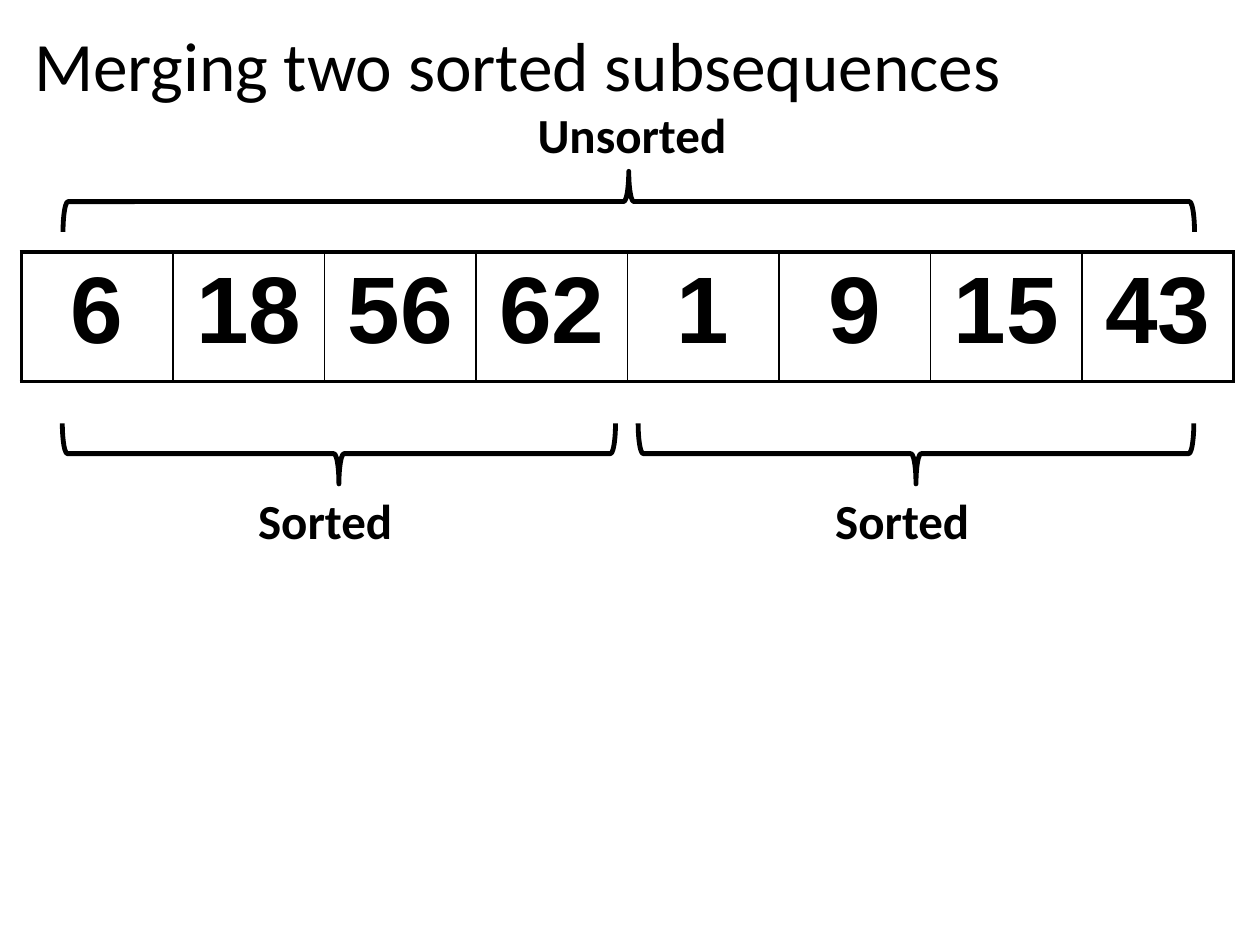
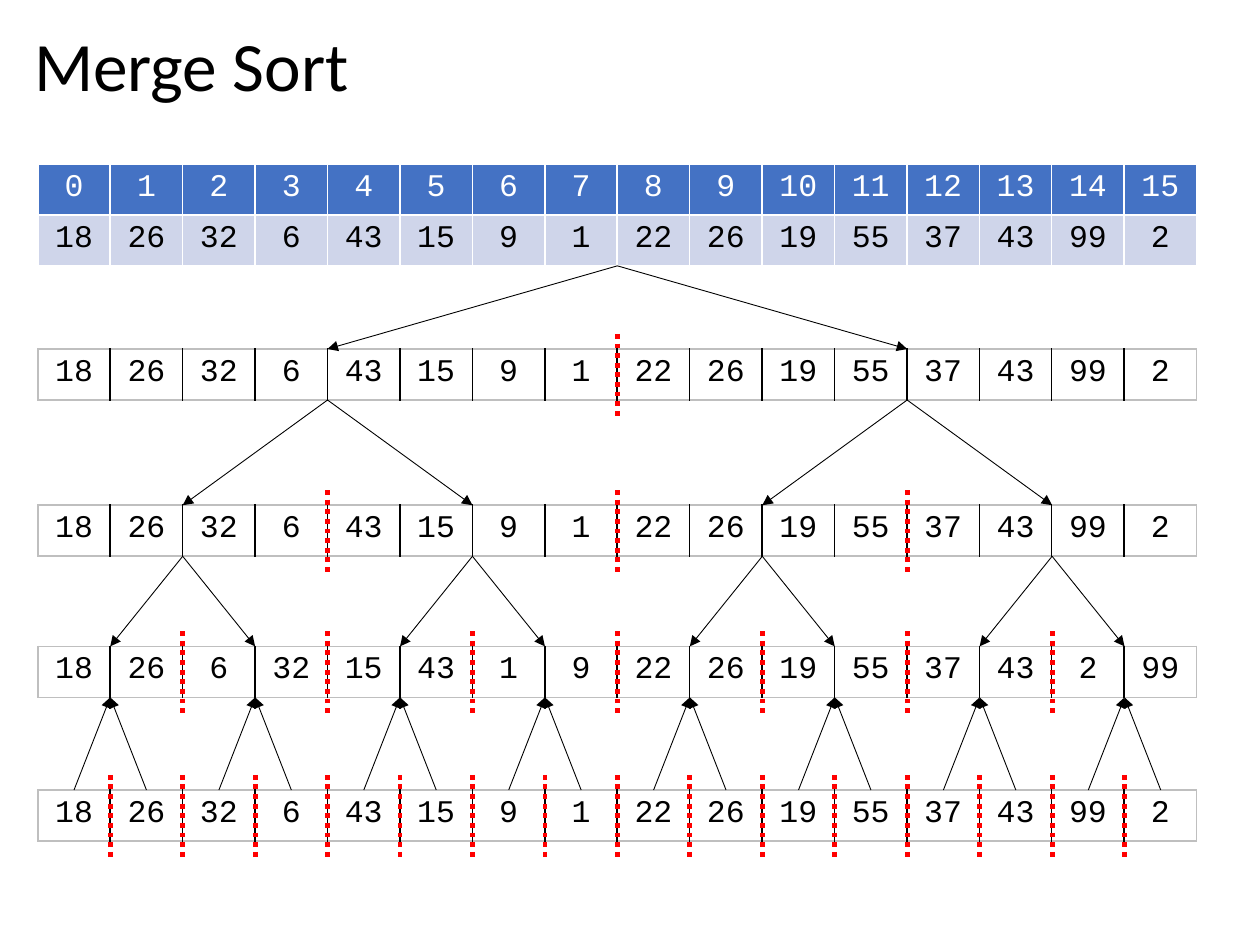
from dataclasses import dataclass

from lxml.etree import SubElement
from pptx import Presentation
from pptx.dml.color import RGBColor
from pptx.enum.dml import MSO_LINE
from pptx.enum.shapes import MSO_CONNECTOR, MSO_SHAPE
from pptx.enum.text import MSO_ANCHOR, MSO_AUTO_SIZE, PP_ALIGN
from pptx.oxml.ns import qn
from pptx.util import Inches, Pt

# Content of the merging slide
MERGE_TITLE = "Merging two sorted subsequences"
MERGE_VALUES = [6, 18, 56, 62, 1, 9, 15, 43]
# Brace: centre x, centre y, span, rotation; label: text, left, top, width, alignment
BRACES = [
    ((2.69, 3.6, 4.39, 270), ("Sorted", 1.95, 3.84, 1.48, PP_ALIGN.LEFT)),
    ((7.27, 3.6, 4.41, 270), ("Sorted", 6.53, 3.84, 1.48, PP_ALIGN.LEFT)),
    ((4.99, 1.6, 8.98, 90), ("Unsorted", 4.04, 0.78, 1.95, PP_ALIGN.CENTER)),
]

# Content of the merge sort slide
SORT_TITLE = "Merge Sort"
VALUES = [18, 26, 32, 6, 43, 15, 9, 1, 22, 26, 19, 55, 37, 43, 99, 2]
SORTED_PAIRS = [value for start in range(0, len(VALUES), 2)
                for value in sorted(VALUES[start:start + 2])]
# Level: top, segment size, values, arrowhead element
LEVELS = [
    (2.77, 8, VALUES, "a:tailEnd"),
    (4.01, 4, VALUES, "a:tailEnd"),
    (5.13, 2, SORTED_PAIRS, "a:tailEnd"),
    (6.27, 1, VALUES, "a:headEnd"),
]


@dataclass(frozen=True)
class Theme:
    black: str = "000000"
    white: str = "FFFFFF"
    grey: str = "BFBFBF"
    red: str = "FF0000"
    header: str = "4472C4"
    band: str = "CFD5EA"
    title_size: float = 39.6
    label_size: int = 28
    number_size: int = 54
    cell_size: int = 18
    heading_font: str = "Calibri"
    number_font: str = "Arial"
    cell_font: str = "Courier New"


THEME = Theme()

# Geometry in inches
TITLE_BOX = (0.17, 0.18, 9.62, 0.74)
MERGE_TABLE_BOX = (0.17, 2, 9.62, 1.03)
BRACE_DEPTH = 0.48
LABEL_HEIGHT = 0.57
ARRAY_LEFT, ARRAY_WIDTH, ARRAY_TOP = 0.3, 9.2, 1.3
ROW_HEIGHT = 0.405
CELL_WIDTH = ARRAY_WIDTH / len(VALUES)
DIVIDER_ABOVE, DIVIDER_BELOW = 0.12, 0.55


def inches(*lengths):
    return [Inches(length) for length in lengths]


def write_text(text_frame, text, alignment, **font_values):
    """Write one paragraph and apply its font values."""
    paragraph = text_frame.paragraphs[0]
    paragraph.alignment = alignment
    run = paragraph.add_run()
    run.text = str(text)
    run.font.color.rgb = RGBColor.from_string(font_values.pop("color", THEME.black))
    for name, value in font_values.items():
        setattr(run.font, name, value)
    return paragraph


def add_titled_slide(presentation, title):
    slide = presentation.slides.add_slide(presentation.slide_layouts[5])
    shape = slide.shapes.title
    shape.left, shape.top, shape.width, shape.height = inches(*TITLE_BOX)
    frame_values = {"auto_size": MSO_AUTO_SIZE.NONE, "word_wrap": True,
                    "vertical_anchor": MSO_ANCHOR.MIDDLE}
    for name, value in frame_values.items():
        setattr(shape.text_frame, name, value)
    paragraph = write_text(shape.text_frame, title, PP_ALIGN.LEFT,
                           size=Pt(THEME.title_size), name=THEME.heading_font)
    paragraph.line_spacing = 0.9
    return slide


def set_borders(cell, borders):
    """Draw cell borders; borders gives (colour, points) for L, R, T and B."""
    properties = cell._tc.get_or_add_tcPr()
    for side in "LRTB":
        color, width = borders[side]
        line = SubElement(properties, qn(f"a:ln{side}"), w=str(Pt(width)))
        fill = SubElement(line, qn("a:solidFill"))
        SubElement(fill, qn("a:srgbClr"), val=color)


def add_grid(slide, box, rows, outer, inner, fills, colors, **font_values):
    """Add a table with outer edges, inner lines, and a fill and text colour per row."""
    table = slide.shapes.add_table(len(rows), len(rows[0]), *inches(*box)).table
    table.first_row = table.horz_banding = False
    for column in table.columns:
        column.width = Inches(box[2] / len(rows[0]))
    for row_index, row in enumerate(rows):
        for column_index, text in enumerate(row):
            cell = table.cell(row_index, column_index)
            set_borders(cell, {
                "L": inner if column_index else outer,
                "R": inner if column_index < len(row) - 1 else outer,
                "T": inner if row_index else outer,
                "B": inner if row_index < len(rows) - 1 else outer,
            })
            if fills[row_index]:
                cell.fill.solid()
                cell.fill.fore_color.rgb = RGBColor.from_string(fills[row_index])
            else:
                cell.fill.background()
            write_text(cell.text_frame, text, PP_ALIGN.CENTER,
                       color=colors[row_index], **font_values)


def add_line(slide, start, end, color, width, dash=None, arrowhead=None):
    connector = slide.shapes.add_connector(MSO_CONNECTOR.STRAIGHT, *inches(*start, *end))
    connector.line.color.rgb = RGBColor.from_string(color)
    connector.line.width = Pt(width)
    if dash:
        connector.line.dash_style = dash
    properties = connector.element.spPr
    if arrowhead:
        SubElement(properties.find(qn("a:ln")), qn(arrowhead), type="triangle")
    SubElement(properties, qn("a:effectLst"))


def add_brace(slide, center_x, center_y, span, rotation):
    brace = slide.shapes.add_shape(
        MSO_SHAPE.LEFT_BRACE,
        *inches(center_x - BRACE_DEPTH / 2, center_y - span / 2, BRACE_DEPTH, span))
    brace.rotation = rotation
    brace.shadow.inherit = False
    brace.fill.background()
    brace.line.color.rgb = RGBColor.from_string(THEME.black)
    brace.line.width = Pt(2.75)


def add_label(slide, text, left, top, width, alignment):
    label = slide.shapes.add_textbox(*inches(left, top, width, LABEL_HEIGHT))
    label.text_frame.word_wrap = True
    write_text(label.text_frame, text, alignment, size=Pt(THEME.label_size),
               name=THEME.heading_font, bold=True)


def build_merging_slide(presentation):
    slide = add_titled_slide(presentation, MERGE_TITLE)
    add_grid(slide, MERGE_TABLE_BOX, [MERGE_VALUES], (THEME.black, 2.25), (THEME.black, 1),
             [None], [THEME.black], size=Pt(THEME.number_size),
             name=THEME.number_font, bold=True)
    for brace, label in BRACES:
        add_brace(slide, *brace)
        add_label(slide, *label)


def column_edge(index):
    return ARRAY_LEFT + index * CELL_WIDTH


def build_sort_slide(presentation):
    slide = add_titled_slide(presentation, SORT_TITLE)
    cell_font = {"size": Pt(THEME.cell_size), "name": THEME.cell_font, "bold": False}

    # Indexed array
    white_line = (THEME.white, 1)
    add_grid(slide, (ARRAY_LEFT, ARRAY_TOP, ARRAY_WIDTH, 2 * ROW_HEIGHT),
             [range(len(VALUES)), VALUES], white_line, white_line,
             [THEME.header, THEME.band], [THEME.white, THEME.black], **cell_font)

    # Levels of the split, each joined to the level above
    parent_bottom = ARRAY_TOP + 2 * ROW_HEIGHT
    for top, size, values, arrowhead in LEVELS:
        add_grid(slide, (ARRAY_LEFT, top, ARRAY_WIDTH, ROW_HEIGHT), [values],
                 (THEME.grey, 1), (THEME.black, 1), [None], [THEME.black], **cell_font)
        for index in range(size, len(values), size):
            x = column_edge(index)
            add_line(slide, (x, top - DIVIDER_ABOVE), (x, top + DIVIDER_BELOW),
                     THEME.red, 2.75, dash=MSO_LINE.ROUND_DOT)
        for parent in range(size, len(values), 2 * size):
            for child in (parent - size / 2, parent + size / 2):
                add_line(slide, (column_edge(parent), parent_bottom),
                         (column_edge(child), top), THEME.black, 0.5, arrowhead=arrowhead)
        parent_bottom = top + ROW_HEIGHT


def main():
    presentation = Presentation()
    presentation.slide_width, presentation.slide_height = inches(10, 7.5)
    build_merging_slide(presentation)
    build_sort_slide(presentation)
    presentation.save("out.pptx")


if __name__ == "__main__":
    main()
